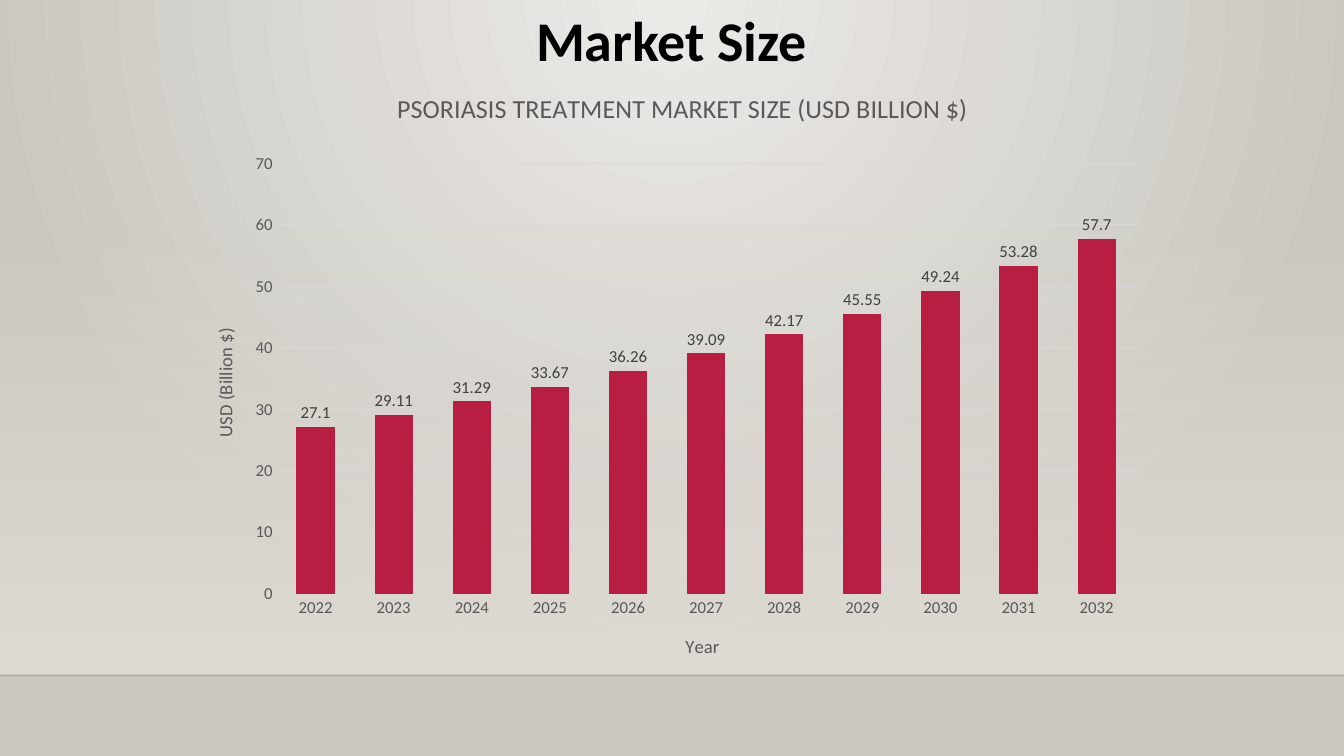
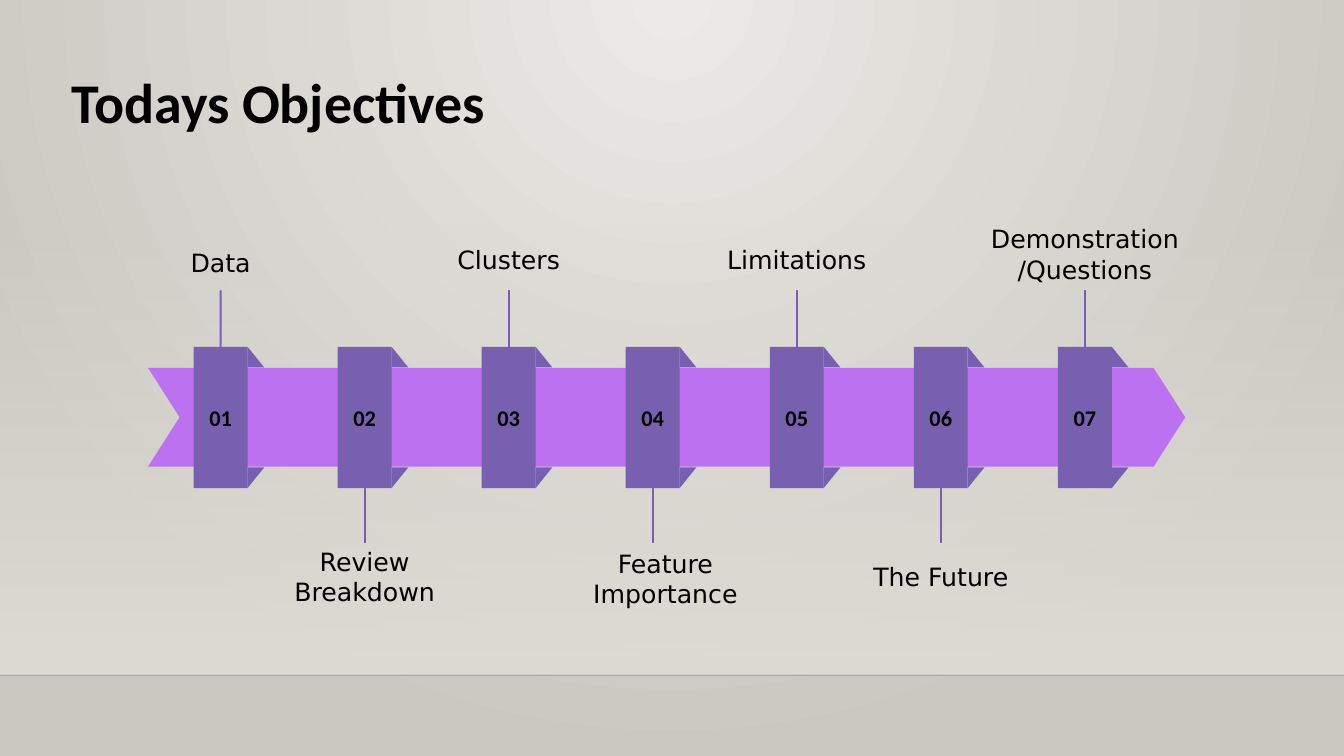
from lxml import etree
from pptx import Presentation
from pptx.chart.data import CategoryChartData
from pptx.dml.color import RGBColor
from pptx.enum.chart import XL_CHART_TYPE as Kind, XL_LABEL_POSITION as Spot, XL_TICK_MARK as Tick
from pptx.enum.shapes import MSO_CONNECTOR as Link, MSO_SHAPE as Form
from pptx.enum.text import MSO_ANCHOR as Anchor, MSO_AUTO_SIZE as Fit, PP_ALIGN as Align
from pptx.oxml.ns import qn
from pptx.util import Cm, Pt

WIDE, HIGH = 33.87, 19.05
FLOOR = 17.02
BLACK, GREY, RED = "000000", "595959", "B71E42"
VIOLET, LILAC = "795FAF", "BC72F0"
HEAD = dict(name="Calibri", size=Pt(40), bold=True)
MARK = dict(name="Calibri", size=Pt(16), bold=True)
BODY = dict(name="DejaVu Sans", size=Pt(18), bold=False)
TICK = dict(name="Calibri", size=Pt(12), bold=False)
AXIS = dict(name="Calibri", size=Pt(13.3), bold=False)
CAPTION = dict(name="Calibri", size=Pt(18.6), bold=False)

SALES = {
    "2022": 27.1, "2023": 29.11, "2024": 31.29, "2025": 33.67,
    "2026": 36.26, "2027": 39.09, "2028": 42.17, "2029": 45.55,
    "2030": 49.24, "2031": 53.28, "2032": 57.7,
}
# label, top, width, height, shift from the middle of the tag
STEPS = [
    ("Data", 6.12, 4.09, 1.02, 0),
    ("Review Breakdown", 13.64, 4.09, 1.8, 0),
    ("Clusters", 6.02, 4.09, 1.02, 0),
    ("Feature Importance", 13.69, 5.33, 1.8, 0.32),
    ("Limitations", 6.02, 4.09, 1.02, 0),
    ("The Future", 14.02, 4.09, 1.02, 0),
    ("Demonstration/Questions", 5.51, 5.26, 1.8, 0),
]
FIRST, PITCH = 4.88, 3.63
TAG_TOP, TAG_W, TAG_H = 8.74, 1.36, 3.56
FOLD_W, FOLD_H = 0.42, 0.52


def box(x, y, w, h):
    return Cm(x), Cm(y), Cm(w), Cm(h)


def tint(color, code):
    color.rgb = RGBColor.from_string(code)


def style(font, look, code=BLACK):
    for key, value in look.items():
        setattr(font, key, value)
    tint(font.color, code)


def write(shape, text, look, align):
    frame = shape.text_frame
    frame.word_wrap = True
    para = frame.paragraphs[0]
    para.alignment = align
    run = para.add_run()
    run.text = text
    style(run.font, look)
    return frame


def fade(item, percent):
    """Set the opacity of each plain colour inside an XML element."""
    for color in list(item.iter(qn("a:srgbClr"))):
        etree.SubElement(color, qn("a:alpha")).set("val", str(percent * 1000))


def blend(fill, codes, end=1):
    fill.gradient()
    for stop, code, pos in zip(fill.gradient_stops, codes, (0, end)):
        tint(stop.color, code)
        stop.position = pos


def glow(page, end):
    """Give a slide or master the round light from the top middle."""
    blend(page.background.fill, ("ECEAE7", "CAC7C1"), end)
    grad = next(page.element.iter(qn("a:gradFill")))
    grad.remove(grad.find(qn("a:lin")))
    ring = etree.SubElement(grad, qn("a:path"), path="circle")
    etree.SubElement(ring, qn("a:fillToRect"), l="43000", t="0", r="43000", b="100000")


def add_block(shapes, form, place, code):
    shape = shapes.add_shape(form, *box(*place))
    shape.shadow.inherit = False
    shape.fill.solid()
    tint(shape.fill.fore_color, code)
    shape.line.fill.background()
    return shape


def add_line(shapes, start, end, code, width):
    line = shapes.add_connector(Link.STRAIGHT, *map(Cm, start + end))
    tint(line.line.color, code)
    line.line.width = Pt(width)
    etree.SubElement(line.element.spPr, qn("a:effectLst"))
    return line


def dress(master, slide):
    """Draw the shared wall and floor line, and move them to the master."""
    glow(master, 1)
    wall = add_block(slide.shapes, Form.RECTANGLE, (0, 5.61, WIDE, FLOOR - 5.61), "DFDBD5")
    blend(wall.fill, ("DFDBD5", "DFDBD5"))
    wall.fill.gradient_angle = 270
    fade(next(wall.element.iter(qn("a:gs"))), 0)
    edge = add_line(slide.shapes, (0, FLOOR), (WIDE, FLOOR), "000001", 1)
    fade(edge.element, 20)
    for item in (edge, wall):
        master.shapes.element.insert(2, item.element)


def set_title(slide, text, place, align):
    title = slide.shapes.title
    title.left, title.top, title.width, title.height = box(*place)
    frame = write(title, text, HEAD, align)
    frame.auto_size = Fit.NONE
    frame.vertical_anchor = Anchor.MIDDLE


def arrange(parent, inner=False, **places):
    """Place an element of the chart by fractions of the chart's size."""
    layout = parent.find(qn("c:layout"))
    if layout is None:
        layout = etree.Element(qn("c:layout"))
        parent.insert(0, layout)
    hand = etree.SubElement(layout, qn("c:manualLayout"))
    if inner:
        etree.SubElement(hand, qn("c:layoutTarget"), val="inner")
    for key in "xy":
        etree.SubElement(hand, qn(f"c:{key}Mode"), val="edge")
    for key, value in places.items():
        etree.SubElement(hand, qn(f"c:{key}"), val=str(value))


def caption(title, text, look, x, y):
    frame = title.text_frame
    frame.text = text
    style(frame.paragraphs[0].runs[0].font, look, GREY)
    arrange(title.element, x=x, y=y)


def add_bars(slide):
    data = CategoryChartData()
    data.categories = list(SALES)
    data.add_series("Series 1", list(SALES.values()))
    place = box(4.78, 2.01, 24.33, 15.06)
    chart = slide.shapes.add_chart(Kind.COLUMN_CLUSTERED, *place, data).chart
    style(chart.font, TICK)
    chart.has_legend = False
    caption(chart.chart_title, "PSORIASIS TREATMENT MARKET SIZE (USD BILLION $)",
            CAPTION, 0.21, 0.01)
    years, sums = chart.category_axis, chart.value_axis
    caption(years.axis_title, "Year", AXIS, 0.51, 0.92)
    caption(sums.axis_title, "USD (Billion $)", AXIS, 0.02, 0.41)
    for axis in (years, sums):
        axis.major_tick_mark = axis.minor_tick_mark = Tick.NONE
        style(axis.tick_labels.font, TICK, GREY)
        axis.format.line.fill.background()
    sums.minimum_scale, sums.maximum_scale, sums.major_unit = 0, 70, 10
    grid = sums.major_gridlines.format.line
    tint(grid.color, "D9D9D9")
    grid.width = Pt(0.75)
    plot = chart.plots[0]
    plot.gap_width = 104
    plot.vary_by_categories = False
    bars = plot.series[0].format.fill
    bars.solid()
    tint(bars.fore_color, RED)
    plot.has_data_labels = True
    labels = plot.data_labels
    labels.show_value = True
    labels.position = Spot.OUTSIDE_END
    style(labels.font, TICK, "404040")
    area = next(chart.element.iter(qn("c:plotArea")))
    arrange(area, True, x=0.09, y=0.14, w=0.89, h=0.72)


def add_step(slide, index, label, top, width, height, shift):
    """Draw one folded tag with its stem and label, above or below in turn."""
    shapes = slide.shapes.add_group_shape().shapes
    left = FIRST + index * PITCH
    mid, right = left + TAG_W / 2, left + TAG_W
    base = TAG_TOP + TAG_H
    for y, flip in ((TAG_TOP, "0"), (base - FOLD_H, "1")):
        fold = add_block(shapes, Form.RIGHT_TRIANGLE, (right, y, FOLD_W, FOLD_H), VIOLET)
        fold.element.spPr.find(qn("a:xfrm")).set("flipV", flip)
    tag = add_block(shapes, Form.RECTANGLE, (left, TAG_TOP, TAG_W, TAG_H), VIOLET)
    frame = write(tag, f"{index + 1:02}", MARK, Align.CENTER)
    frame.vertical_anchor = Anchor.MIDDLE
    frame.margin_left = frame.margin_right = 0
    side, near, far = (2, base, 13.69) if index % 2 else (0, TAG_TOP, 7.32)
    stem = add_line(shapes, (mid, near), (mid, far), VIOLET, 1.5)
    stem.begin_connect(tag, side)
    note = shapes.add_textbox(*box(mid + shift - width / 2, top, width, height))
    write(note, label, BODY, Align.CENTER).auto_size = Fit.SHAPE_TO_FIT_TEXT


def main():
    deck = Presentation()
    deck.slide_width, deck.slide_height = Cm(WIDE), Cm(HIGH)
    market, goals = (deck.slides.add_slide(deck.slide_layouts[5]) for _ in range(2))
    dress(deck.slide_master, market)

    glow(market, 0.91)
    set_title(market, "Market Size", (6.83, 0, 20.19, 1.96), Align.CENTER)
    add_bars(market)

    set_title(goals, "Todays Objectives", (1.55, 1.57, 15.88, 1.96), Align.LEFT)
    band = add_block(goals.shapes, Form.CHEVRON, (3.73, 9.27, 26.14, 2.49), LILAC)
    band.adjustments[0] = 0.32
    for index, step in enumerate(STEPS):
        add_step(goals, index, *step)
    deck.save("out.pptx")


if __name__ == "__main__":
    main()
